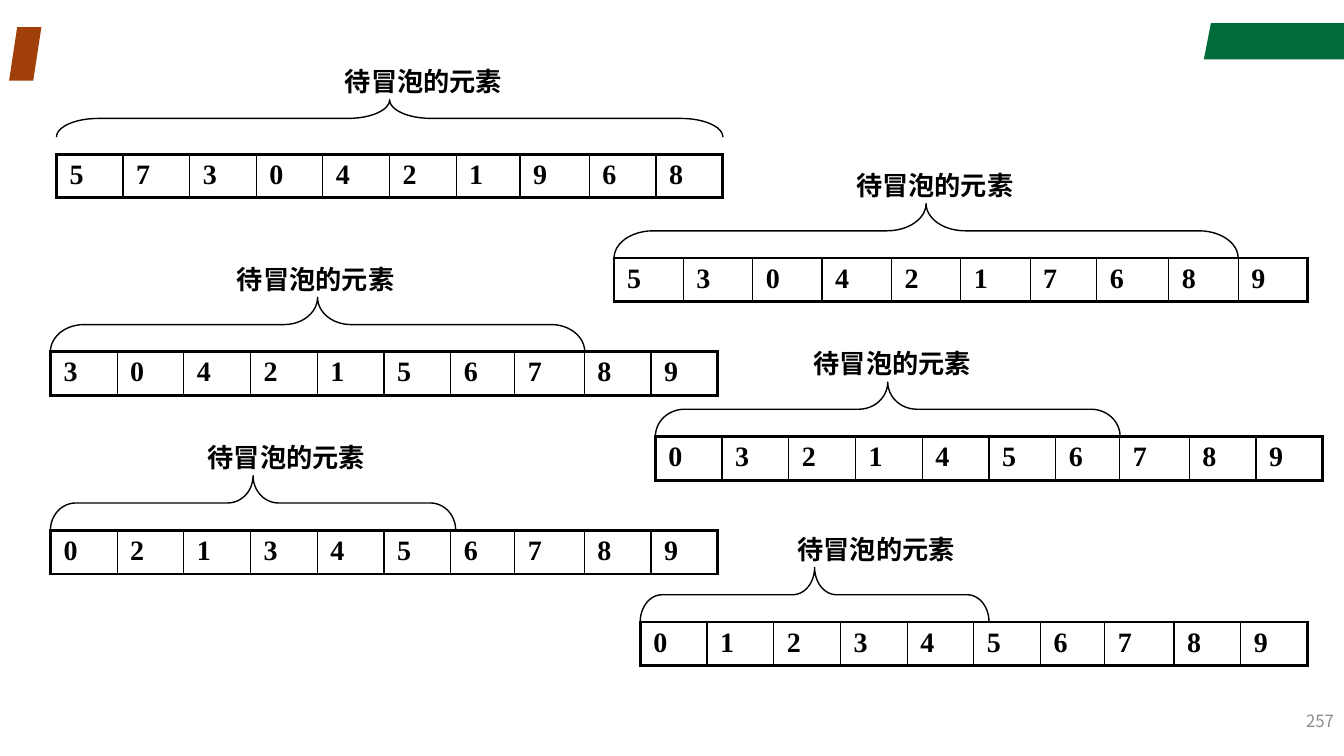
from dataclasses import dataclass
from lxml.etree import SubElement as Sub
from pptx import Presentation
from pptx.dml.color import RGBColor as Rgb
from pptx.enum.shapes import MSO_SHAPE as Kind
from pptx.enum.text import MSO_ANCHOR as Anchor, MSO_AUTO_SIZE as Auto, PP_ALIGN as Align
from pptx.oxml.ns import qn
from pptx.util import Inches, Pt


@dataclass(frozen=True)
class Theme:
    """Colours, fonts and sizes of the slide."""
    ink: str = "000000"
    green: str = "006C39"
    rust: str = "A13F0B"
    gray: str = "8C8C8C"
    sans: str = "Noto Sans CJK SC"
    serif: str = "Times New Roman"
    digit: float = 20
    label: float = 18.7
    page: float = 12
    thin: float = 1
    thick: float = 2.25


THEME = Theme()
LABEL = "待冒泡的元素"
HIGH = 0.43
RISE = 0.54
ROWS = [
    ((0.56, 1.53, 6.61), "5730421968", 6.61, 0.37, (4.2, 4.59)),
    ((6.09, 2.56, 6.88), "5304217689", 6.19, RISE, (9.27, 4.59)),
    ((0.5, 3.49, 6.62), "3042156789", 5.3, RISE, (3.13, 4.59)),
    ((6.5, 4.33, 6.62), "0321456789", 4.61, RISE, (8.85, 3.62)),
    ((0.5, 5.26, 6.62), "0213456789", 4.02, RISE, (2.84, 3.62)),
    ((6.35, 6.17, 6.62), "0123456789", 3.46, RISE, (8.69, 3.62)),
]


def write(frame, words, size, font=THEME.sans, color=THEME.ink, bold=False, align=Align.LEFT):
    """Put one formatted line of text into a frame."""
    para = frame.paragraphs[0]
    para.alignment = align
    run = para.add_run()
    run.text = words
    run.font.size = Pt(size)
    run.font.bold = bold
    run.font.color.rgb = Rgb.from_string(color)
    run.font.name = font
    Sub(run.font._element, qn("a:ea"), typeface=font)


def add_text(slide, box, words, **form):
    """Add a wrapping text box and return its frame."""
    frame = slide.shapes.add_textbox(*map(Inches, box)).text_frame
    frame.word_wrap = True
    write(frame, words, **form)
    return frame


def paint(shape, color):
    """Fill a shape with a plain colour and no outline."""
    shape.fill.solid()
    shape.fill.fore_color.rgb = Rgb.from_string(color)
    shape.line.fill.background()
    shape.shadow.inherit = False


def edge(cell, first, last):
    """Draw the four borders of a cell, thick on the outer sides."""
    props = cell._tc.get_or_add_tcPr()
    thick = {"lnL": first, "lnR": last, "lnT": True, "lnB": True}
    for side, wide in thick.items():
        width = Pt(THEME.thick if wide else THEME.thin)
        line = Sub(props, qn("a:" + side), w=str(width))
        fill = Sub(line, qn("a:solidFill"))
        Sub(fill, qn("a:srgbClr"), val=THEME.ink)


def add_cells(slide, box, nums):
    """Add the row of numbers as a table."""
    left, top, wide = box
    count = len(nums)
    table = slide.shapes.add_table(1, count, *map(Inches, (left, top, wide, HIGH))).table
    table.first_row = table.horz_banding = False
    ratio = {6: 0.96, 7: 1.04}
    for i, num in enumerate(nums):
        table.columns[i].width = Inches(wide / count * ratio.get(i, 1))
        cell = table.cell(0, i)
        cell.margin_left = cell.margin_right = Inches(0.13)
        cell.margin_top = cell.margin_bottom = Inches(0.05)
        write(cell.text_frame, num, size=THEME.digit, font=THEME.serif, bold=True)
        edge(cell, i == 0, i == count - 1)
        cell.fill.background()


def add_brace(slide, box):
    """Add a brace that points up and fills the box."""
    left, top, span, deep = box
    mid, axis = left + span / 2, top + deep / 2
    place = (mid - deep / 2, axis - span / 2, deep, span)
    brace = slide.shapes.add_shape(Kind.RIGHT_BRACE, *map(Inches, place))
    brace.rotation = 270
    brace.adjustments[0] = span / deep / 16
    brace.fill.background()
    brace.line.color.rgb = Rgb.from_string(THEME.ink)
    brace.line.width = Pt(THEME.thin)
    brace.shadow.inherit = False


def add_pass(slide, box, nums, span, deep, label):
    """Add one sorting pass: numbers, brace and label."""
    left, top, _ = box
    mid, wide = label
    add_cells(slide, box, nums)
    add_brace(slide, (left, top - RISE, span, deep))
    frame = add_text(slide, (mid - wide / 2, top - 0.93, wide, 0.42), LABEL,
                     size=THEME.label, bold=True, align=Align.CENTER)
    frame.auto_size = Auto.SHAPE_TO_FIT_TEXT


def add_decor(slide, wide):
    """Add the green band and the rust mark at the top."""
    left, top, high, slant = 11.94, 0.23, 0.36, 0.07
    pen = slide.shapes.build_freeform(Inches(left + slant), Inches(top))
    ends = [(wide, top), (wide, top + high), (left, top + high)]
    pen.add_line_segments([(Inches(x), Inches(y)) for x, y in ends])
    paint(pen.convert_to_shape(), THEME.green)
    mark = slide.shapes.add_shape(Kind.PARALLELOGRAM, *map(Inches, (0.09, 0.27, 0.32, 0.53)))
    mark.adjustments[0] = 0.25
    paint(mark, THEME.rust)


def main():
    """Build the slide and save it."""
    deck = Presentation()
    wide, high = 13.33, 7.5
    deck.slide_width, deck.slide_height = Inches(wide), Inches(high)
    slide = deck.slides.add_slide(deck.slide_layouts[6])
    add_decor(slide, wide)
    for row in ROWS:
        add_pass(slide, *row)
    page = add_text(slide, (wide - 3, 6.95, 3, 0.4), "257",
                    size=THEME.page, color=THEME.gray, align=Align.RIGHT)
    page.vertical_anchor = Anchor.MIDDLE
    deck.save("out.pptx")


if __name__ == "__main__":
    main()
